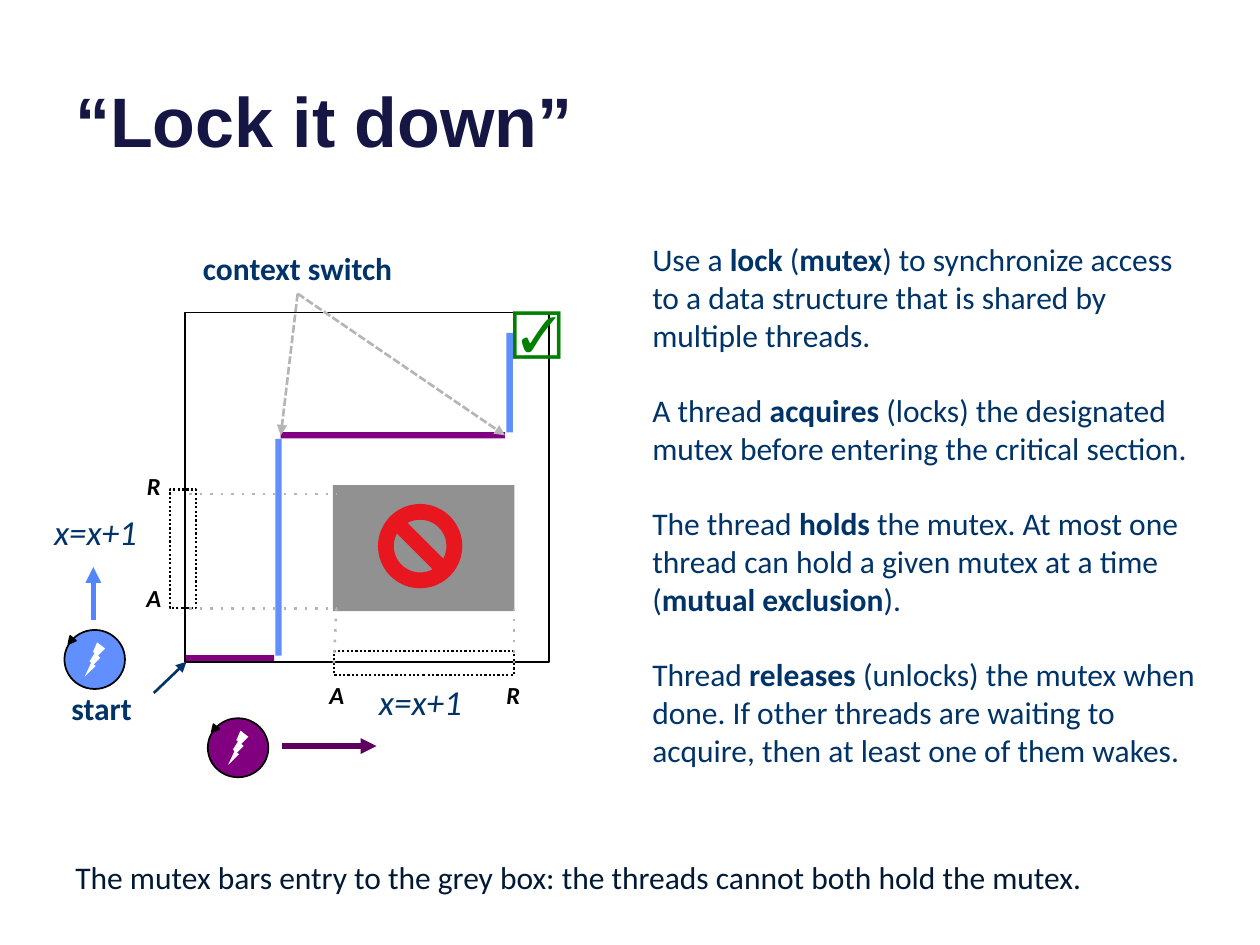
from dataclasses import dataclass

from lxml import etree
from pptx import Presentation
from pptx.dml.color import RGBColor
from pptx.enum.shapes import MSO_CONNECTOR, MSO_SHAPE
from pptx.enum.text import MSO_ANCHOR, PP_ALIGN
from pptx.oxml.ns import qn
from pptx.util import Cm, Pt

STRAIGHT = MSO_CONNECTOR.STRAIGHT
RECTANGLE = MSO_SHAPE.RECTANGLE
OVAL = MSO_SHAPE.OVAL
BOLT = MSO_SHAPE.LIGHTNING_BOLT
TRIANGLE = MSO_SHAPE.ISOSCELES_TRIANGLE
NO_SYMBOL = MSO_SHAPE.NO_SYMBOL
LEFT, CENTER = PP_ALIGN.LEFT, PP_ALIGN.CENTER
TOP, MIDDLE, BOTTOM = MSO_ANCHOR.TOP, MSO_ANCHOR.MIDDLE, MSO_ANCHOR.BOTTOM
TOP_SIDE, LEFT_SIDE, BOTTOM_SIDE, RIGHT_SIDE = range(4)


@dataclass(frozen=True)
class Theme:
    heading_font: str = "Arial"
    body_font: str = "Calibri"
    title_size: float = 40
    check_size: float = 28
    code_size: float = 20
    body_size: float = 18
    label_size: float = 14
    paragraph_gap: float = 21.5
    title: str = "161645"
    navy: str = "003367"
    caption: str = "001934"
    black: str = "000000"
    white: str = "FFFFFF"
    blue: str = "618FFD"
    blue_arrow: str = "5385FF"
    purple: str = "800080"
    purple_arrow: str = "5D005E"
    grey: str = "919191"
    guide: str = "B5B5B5"
    red: str = "E8161F"
    green: str = "008000"


@dataclass(frozen=True)
class Box:
    left: float
    top: float
    width: float
    height: float

    def point(self, x, y):
        return Cm(self.left + x), Cm(self.top + y)

    def inner(self, x, y, width, height):
        return Box(self.left + x, self.top + y, width, height)

    def frame(self):
        return Cm(self.left), Cm(self.top), Cm(self.width), Cm(self.height)


THEME = Theme()


def style_line(shape, color, width, dash=None, arrow=False):
    shape.line.color.rgb = RGBColor.from_string(color)
    shape.line.width = Pt(width)
    outline = shape._element.spPr.find(qn("a:ln"))
    if dash:
        etree.SubElement(outline, qn("a:prstDash"), val=dash)
    if arrow:
        etree.SubElement(outline, qn("a:tailEnd"), type="triangle")


def add_shape(page, box, kind=RECTANGLE, fill=None, line=None, width=1, dash=None):
    shape = page.shapes.add_shape(kind, *box.frame())
    shape.shadow.inherit = False
    if fill:
        shape.fill.solid()
        shape.fill.fore_color.rgb = RGBColor.from_string(fill)
    else:
        shape.fill.background()
    if line:
        style_line(shape, line, width, dash)
    else:
        shape.line.fill.background()
    return shape


def add_line(page, start, end, color, width=1.5, dash=None, arrow=False):
    line = page.shapes.add_connector(STRAIGHT, *start, *end)
    style_line(line, color, width, dash, arrow)
    etree.SubElement(line._element.spPr, qn("a:effectLst"))
    return line


def add_text(page, box, text, size=THEME.body_size, color=THEME.navy,
             font=THEME.body_font, bold=False, italic=False,
             align=LEFT, anchor=TOP, gap=0):
    holder = page.shapes.add_textbox(*box.frame())
    frame = holder.text_frame
    frame.word_wrap = True
    frame.vertical_anchor = anchor
    for index, line in enumerate(text.split("\n")):
        para = frame.add_paragraph() if index else frame.paragraphs[0]
        para.alignment = align
        if index and gap:
            para.space_before = Pt(gap)
        for position, piece in enumerate(line.split("*")):
            span = para.add_run()
            span.text = piece
            span.font.name = font
            span.font.size = Pt(size)
            span.font.bold = bold or position % 2 == 1
            span.font.italic = italic
            span.font.color.rgb = RGBColor.from_string(color)
    return holder


def draw_schedule(page, box):
    label = add_text(page, box.inner(-0.55, -1.4, 5.64, 1.02), "context switch",
                     bold=True, align=CENTER)
    thick = 0.13
    add_shape(page, box.inner(1.82, 2.55, thick, 4.37), fill=THEME.blue)
    switch = add_shape(page, box.inner(1.93, 2.41, 4.52, thick), fill=THEME.purple)
    add_shape(page, box.inner(6.48, 0.41, thick, 2.01), fill=THEME.blue)
    add_shape(page, box.inner(0, 6.91, 1.8, thick), fill=THEME.purple)
    add_shape(page, box, line=THEME.black)

    for side, x in ((LEFT_SIDE, 1.93), (RIGHT_SIDE, 6.45)):
        arrow = add_line(page, box.point(2.27, -0.38), box.point(x, 2.48),
                         THEME.guide, dash="sysDash", arrow=True)
        arrow.begin_connect(label, BOTTOM_SIDE)
        arrow.end_connect(switch, side)

    add_text(page, box.inner(-2.54, 7.47, 2.11, 1.02), "start", bold=True)
    add_line(page, box.point(-0.63, 7.67), box.point(0.03, 7.04),
             THEME.navy, arrow=True)
    add_text(page, box.inner(6.35, -0.36, 1.42, 1.45), "☑", size=THEME.check_size,
             color=THEME.green, font=THEME.heading_font, bold=True)


def draw_critical_section(page, box):
    add_shape(page, box, fill=THEME.grey)
    add_shape(page, box.inner(0.91, 0.38, 1.7, 1.7), NO_SYMBOL, fill=THEME.red)

    across = add_shape(page, box.inner(0.02, 3.35, 3.63, 0.48),
                       line=THEME.black, width=1.25, dash="sysDot")
    add_shape(page, box.inner(-3.29, 0.09, 0.53, 2.39),
              line=THEME.black, width=1.25, dash="sysDot")

    for text, x, y in (("A", -0.49, 3.81), ("R", 3.07, 3.81),
                       ("A", -4.18, 1.85), ("R", -4.18, -0.41)):
        add_text(page, box.inner(x, y, 1.14, 0.84), text, size=THEME.label_size,
                 color=THEME.black, bold=True, italic=True,
                 align=CENTER, anchor=MIDDLE)
    for x, y in ((0.68, 3.81), (-5.87, 0.38)):
        add_text(page, box.inner(x, y, 2.74, 1.12), "x=x+1",
                 size=THEME.code_size, italic=True)

    for y in (0.18, 2.49):
        add_line(page, box.point(-2.9, y), box.point(0.07, y),
                 THEME.guide, dash="dot")
    for side, x in ((LEFT_SIDE, 0.07), (RIGHT_SIDE, 3.65)):
        guide = add_line(page, box.point(x, 3.59), box.point(x, 2.49),
                         THEME.guide, dash="dot")
        guide.begin_connect(across, side)


def draw_thread(page, box, fill, arrow_color, start, end):
    add_shape(page, box, OVAL, fill=fill, line=THEME.black)
    bolt = add_shape(page, box.inner(0.41, 0.25, 0.41, 0.69), BOLT, fill=THEME.white)
    bolt._element.spPr.find(qn("a:xfrm")).set("flipH", "1")
    tip = add_shape(page, box.inner(0.05, 0.15, 0.15, 0.15), TRIANGLE,
                    fill=THEME.black, line=THEME.black)
    tip.rotation = 219
    add_line(page, box.point(*start), box.point(*end), arrow_color,
             width=3, arrow=True)


def draw_explanation(page, box):
    add_text(page, box, "\n".join((
        "Use a *lock* (*mutex*) to synchronize access to a data structure "
        "that is shared by multiple threads.",
        "A thread *acquires* (locks) the designated mutex before entering "
        "the critical section.",
        "The thread *holds* the mutex. At most one thread can hold a given "
        "mutex at a time (*mutual exclusion*).",
        "Thread *releases* (unlocks) the mutex when done. If other threads "
        "are waiting to acquire, then at least one of them wakes.",
    )), gap=THEME.paragraph_gap)


def main():
    deck = Presentation()
    deck.slide_width, deck.slide_height = Cm(25.4), Cm(19.05)
    page = deck.slides.add_slide(deck.slide_layouts[6])
    add_text(page, Box(1.27, -0.94, 22.86, 4.32), "“Lock it down”",
             size=THEME.title_size, color=THEME.title,
             font=THEME.heading_font, bold=True, anchor=BOTTOM)
    draw_schedule(page, Box(3.73, 6.3, 7.34, 7.04))
    draw_thread(page, Box(1.3, 12.7, 1.22, 1.19), THEME.blue, THEME.blue_arrow,
                start=(0.58, -0.2), end=(0.58, -1.27))
    draw_thread(page, Box(4.19, 14.48, 1.22, 1.19), THEME.purple, THEME.purple_arrow,
                start=(1.5, 0.56), end=(3.4, 0.56))
    draw_critical_section(page, Box(6.71, 9.78, 3.66, 2.54))
    draw_explanation(page, Box(12.9, 4.72, 11.63, 11.02))
    add_text(page, Box(1.27, 17.17, 23.29, 1.02),
             "The mutex bars entry to the grey box: the threads cannot both "
             "hold the mutex.", color=THEME.caption)
    deck.save("out.pptx")


if __name__ == "__main__":
    main()
